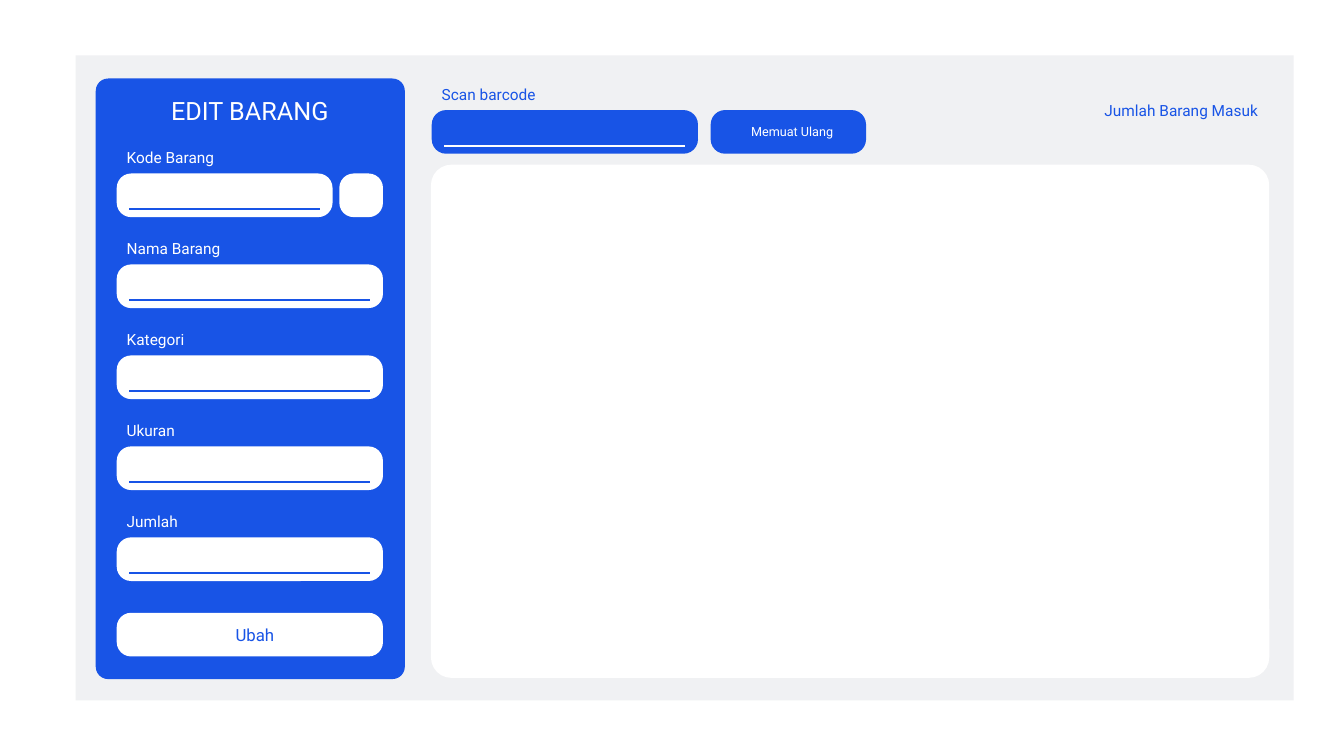
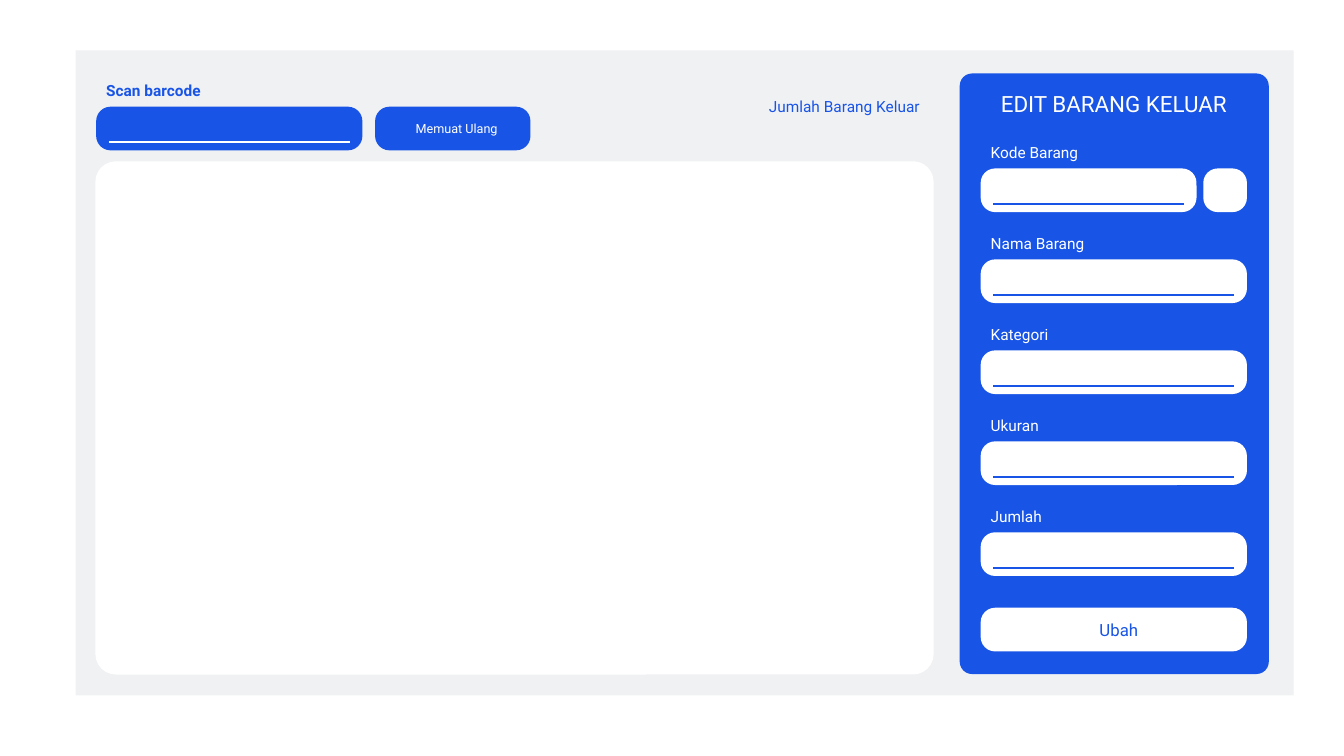
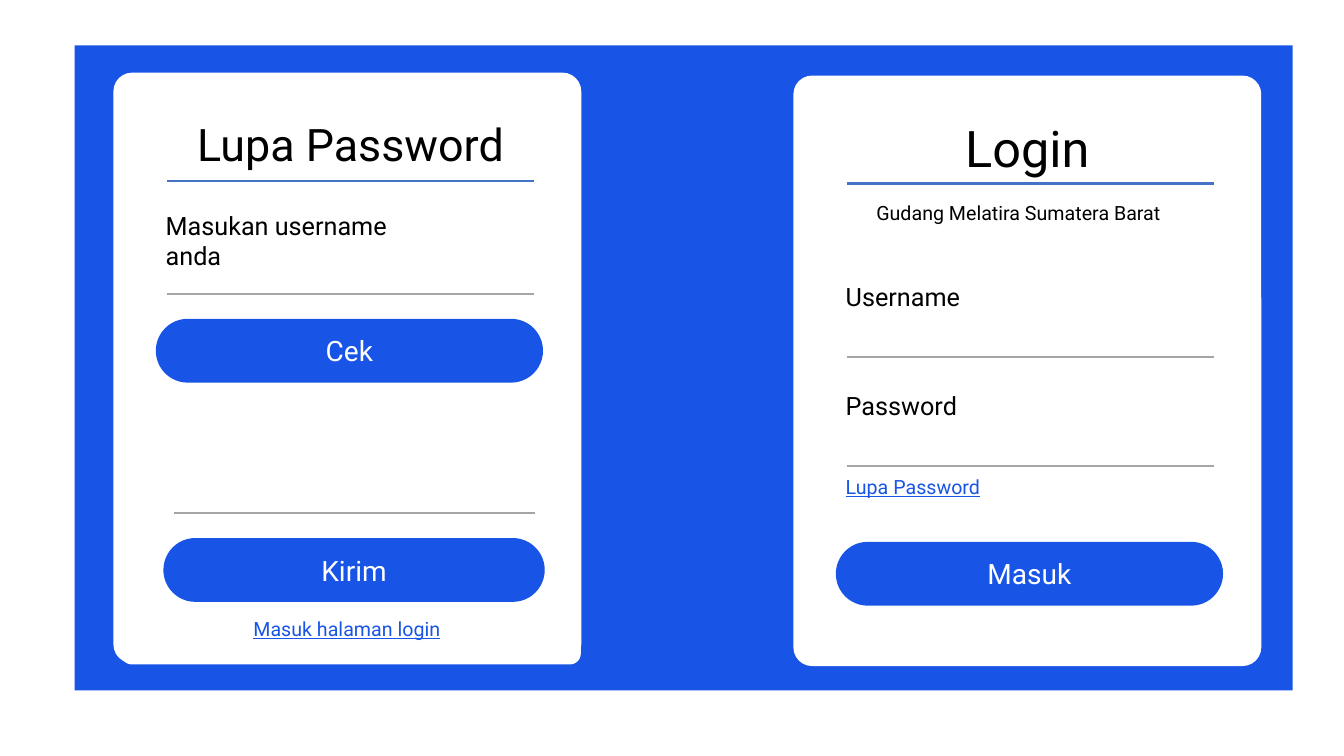
from lxml.etree import SubElement
from pptx import Presentation
from pptx.dml.color import RGBColor
from pptx.enum.shapes import MSO_CONNECTOR as Connector, MSO_SHAPE as Shape
from pptx.enum.text import MSO_ANCHOR as Anchor, PP_ALIGN as Align
from pptx.oxml.ns import qn
from pptx.util import Inches, Pt

COLUMNS, ROWS = 160, 90
BLUE, WHITE, BLACK = "1854E6", "FFFFFF", "000000"
PANEL_GREY, RULE_BLUE, RULE_GREY = "F0F1F3", "4472C4", "A5A5A5"
FIELD_WIDTH, FIELD_HEIGHT = 31.7, 5.2
FIELD_CORNER, CARD_CORNER = 0.33, 0.04
FIELD_LABELS = ["Kode Barang", "Nama Barang", "Kategori", "Ukuran", "Jumlah"]
FIELD_PITCH = 10.83
ENTRY_WIDTH, BUTTON_WIDTH = 43.7, 46.1


def color(hex_value):
    return RGBColor.from_string(hex_value)


class Mockup:
    font_name = "Roboto"
    line_width = Pt(1.5)

    def __init__(self):
        self.deck = Presentation()
        self.deck.slide_width, self.deck.slide_height = Inches(13.33), Inches(7.5)
        self.slide = None

    def new_slide(self):
        self.slide = self.deck.slides.add_slide(self.deck.slide_layouts[6])

    def cells(self, x, y):
        return (round(self.deck.slide_width * x / COLUMNS),
                round(self.deck.slide_height * y / ROWS))

    def put_words(self, frame, words, size, hex_value, align=Align.LEFT, **extra):
        frame.word_wrap = True
        paragraph = frame.paragraphs[0]
        paragraph.alignment = align
        run = paragraph.add_run()
        run.text = words
        run.font.color.rgb = color(hex_value)
        formats = {"name": self.font_name, "size": Pt(size), **extra}
        for key, value in formats.items():
            setattr(run.font, key, value)

    def text(self, x, y, width, height, words, size, hex_value, **extra):
        box = self.slide.shapes.add_textbox(*self.cells(x, y), *self.cells(width, height))
        self.put_words(box.text_frame, words, size, hex_value, **extra)

    def block(self, x, y, width, height, fill, corner=None):
        kind = Shape.RECTANGLE if corner is None else Shape.ROUNDED_RECTANGLE
        block = self.slide.shapes.add_shape(kind, *self.cells(x, y), *self.cells(width, height))
        block.shadow.inherit = False
        block.fill.solid()
        block.fill.fore_color.rgb = color(fill)
        block.line.fill.background()
        if corner is not None:
            block.adjustments[0] = corner
        return block

    def rule(self, x, y, width, hex_value):
        rule = self.slide.shapes.add_connector(
            Connector.STRAIGHT, *self.cells(x, y), *self.cells(x + width, y))
        rule.line.color.rgb = color(hex_value)
        rule.line.width = self.line_width
        SubElement(rule._element.spPr, qn("a:effectLst"))

    def button(self, x, y, width, height, words, size, fill, ink, corner, indent=0):
        button = self.block(x, y, width, height, fill, corner)
        frame = button.text_frame
        frame.margin_left, frame.margin_right = self.cells(indent, 0)[0], 0
        frame.vertical_anchor = Anchor.MIDDLE
        self.put_words(frame, words, size, ink, align=Align.CENTER)

    def field(self, x, y, label, fill, ink, label_ink, width=FIELD_WIDTH, **extra):
        self.text(x, y - 3.6, 15.6, 3.5, label, 11, label_ink, **extra)
        self.block(x, y, width, FIELD_HEIGHT, fill, FIELD_CORNER)
        self.rule(x + 1.5, y + 4.25, width - 3, ink)

    def edit_form(self, x, y, title, title_size):
        self.block(x, y, 36.8, 71.5, BLUE, CARD_CORNER)
        left, top = x + 2.5, y + 11.3
        self.text(left, y + 1.45, FIELD_WIDTH, 4.8, title, title_size, WHITE, align=Align.CENTER)
        for row, label in enumerate(FIELD_LABELS):
            width = FIELD_WIDTH if row else 25.7
            self.field(left, top + row * FIELD_PITCH, label, WHITE, BLUE, WHITE, width)
        self.block(left + FIELD_WIDTH - FIELD_HEIGHT, top, FIELD_HEIGHT, FIELD_HEIGHT,
                   WHITE, FIELD_CORNER)
        self.button(left, y + 63.6, FIELD_WIDTH, FIELD_HEIGHT, "Ubah", 12,
                    WHITE, BLUE, FIELD_CORNER, 1.2)

    def scan_list(self, x, y, count_label, **label_format):
        self.block(x - 0.1, y + 6.5, 99.8, 61.1, WHITE, CARD_CORNER)
        self.field(x, y, "Scan barcode", BLUE, WHITE, BLUE, **label_format)
        self.button(x + 33.2, y, 18.5, FIELD_HEIGHT, "Memuat Ulang", 9,
                    BLUE, WHITE, FIELD_CORNER, 0.9)
        self.text(x + 78.9, y - 1.7, 22, 3.5, count_label, 11, BLUE)

    def card(self, x, y, title, size, title_left, title_top):
        self.block(x, y, 55.7, 70.3, WHITE, CARD_CORNER)
        self.text(x + title_left, y + title_top, ENTRY_WIDTH, 8, title, size, BLACK,
                  align=Align.CENTER)
        self.rule(x + 6.4, y + 12.85, ENTRY_WIDTH, RULE_BLUE)

    def entry(self, x, y, label, gap=9.6):
        self.text(x, y, 36, 4.8, label, 18, BLACK)
        self.rule(x + 1.3, y + gap, ENTRY_WIDTH, RULE_GREY)

    def pill(self, x, y, words, width=BUTTON_WIDTH):
        self.button(x, y, width, 7.6, words, 20, BLUE, WHITE, 0.5)

    def link(self, x, y, words, align=Align.LEFT):
        self.text(x, y, 32.6, 4, words, 14, BLUE, align=align, underline=True)


def edit_incoming(page):
    page.new_slide()
    page.block(9, 6.6, 145, 76.8, PANEL_GREY)
    page.edit_form(11.4, 9.35, "EDIT BARANG", 18)
    page.scan_list(51.4, 13.1, "Jumlah Barang Masuk")


def edit_outgoing(page):
    page.new_slide()
    page.block(9, 6, 145, 76.8, PANEL_GREY)
    page.edit_form(114.25, 8.75, "EDIT BARANG KELUAR", 16)
    page.scan_list(11.45, 12.7, "Jumlah Barang Keluar", bold=True)


def sign_in(page):
    page.new_slide()
    page.block(8.9, 5.4, 145, 76.8, BLUE)

    login_x, login_y = 94.45, 9
    login_left = login_x + 5.05
    page.card(login_x, login_y, "Login", 36, 6, 4.3)
    page.text(login_left, 23.3, 43.5, 4, "Gudang Melatira Sumatera Barat", 14, BLACK,
              align=Align.CENTER)
    for row, label in enumerate(["Username", "Password"]):
        page.entry(login_left, 32.9 + row * 13, label)
    page.link(login_left, 55.9, "Lupa Password")
    page.pill(login_left, 64.5, "Masuk")

    reset_x, reset_y = 13.5, 8.65
    reset_left = reset_x + 5.05
    page.card(reset_x, reset_y, "Lupa Password", 32, 6.4, 4.65)
    page.entry(reset_left, 24.4, "Masukan username anda", 10.6)
    page.pill(reset_left, 37.95, "Cek")
    page.block(14.4, 46.8, 54.75, 32.3, WHITE, CARD_CORNER)
    page.rule(20.75, 61.1, 43, RULE_GREY)
    page.pill(19.45, 64.05, "Kirim", 45.4)
    page.link(25, 72.9, "Masuk halaman login", Align.CENTER)


def main():
    page = Mockup()
    for build in (edit_incoming, edit_outgoing, sign_in):
        build(page)
    page.deck.save("out.pptx")


if __name__ == "__main__":
    main()
